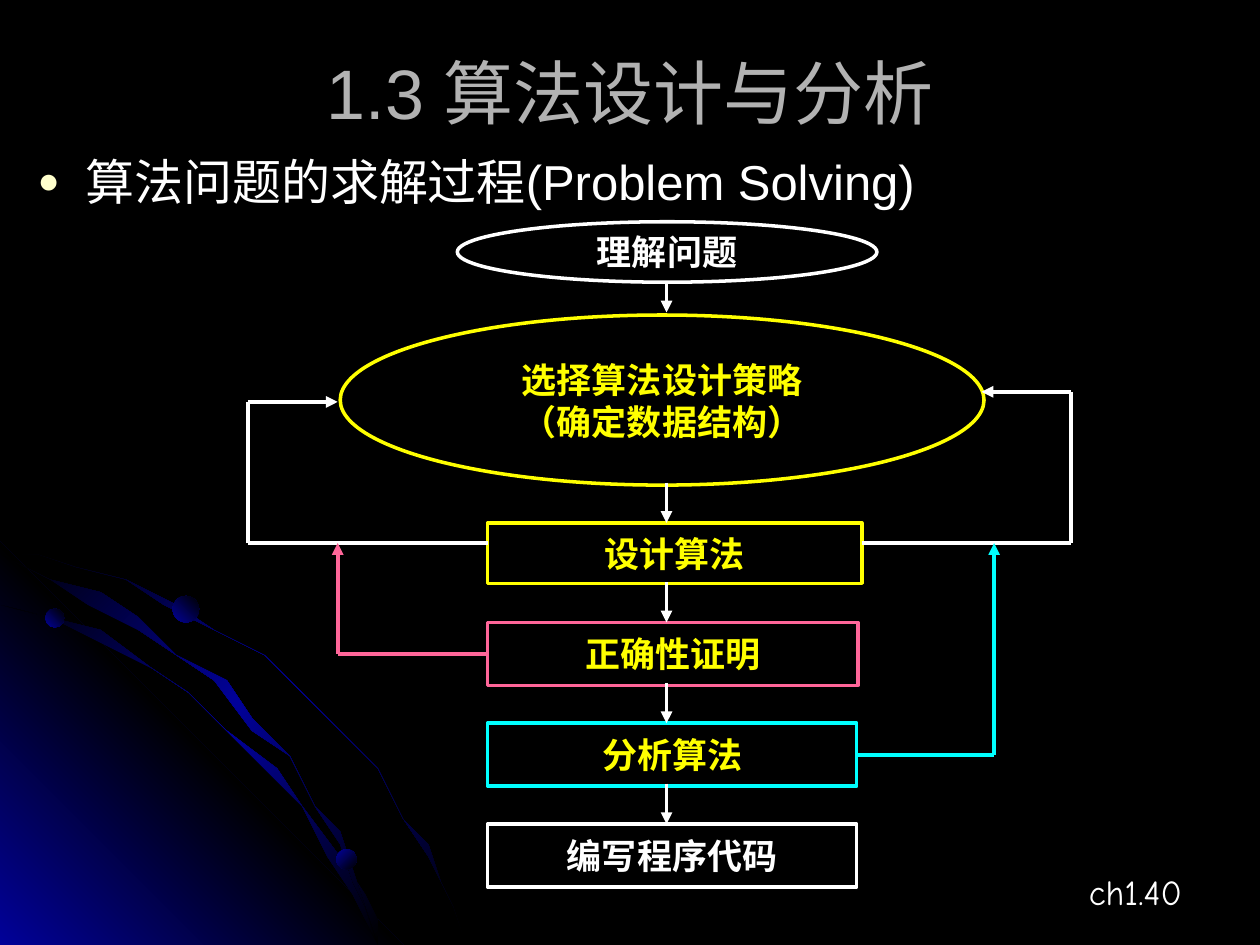
import dataclasses
import typing

import pptx
import pptx.dml.color
import pptx.enum.shapes
import pptx.enum.text
import pptx.oxml
import pptx.oxml.ns
import pptx.util

COLS, ROWS = 100, 75
WHITE, YELLOW, PINK, CYAN = "FFFFFF", "FFFF00", "FF6699", "00FFFF"
BLACK, BLUE = "000000", "010199"
OVAL = pptx.enum.shapes.MSO_SHAPE.OVAL
RECT = pptx.enum.shapes.MSO_SHAPE.RECTANGLE
ALIGN = pptx.enum.text.PP_ALIGN
MIDDLE = pptx.enum.text.MSO_ANCHOR.MIDDLE
LEFT, RIGHT = 1, 3
Point = tuple[float, float]

deck = pptx.Presentation()
deck.slide_width = pptx.util.Inches(10)
deck.slide_height = pptx.util.Inches(7.5)
slide = deck.slides.add_slide(deck.slide_layouts[6])
shapes = slide.shapes
COL, ROW = deck.slide_width / COLS, deck.slide_height / ROWS


@dataclasses.dataclass
class Step:
    """A flow chart box, placed in grid columns and rows."""
    kind: int
    area: tuple[float, float, float, float]
    lines: list[str]
    edge: str
    ink: str = YELLOW


@dataclasses.dataclass
class Link:
    """A straight line; side joins its start to the middle of a step's side."""
    start: Point
    end: Point
    hue: str = WHITE
    arrow: bool = False
    step: typing.Optional[int] = None
    side: int = LEFT


def grid(*vals: float) -> list[int]:
    return [round(v * (ROW if i % 2 else COL)) for i, v in enumerate(vals)]


def color(code: str) -> pptx.dml.color.RGBColor:
    return pptx.dml.color.RGBColor.from_string(code)


def apply(target: typing.Any, **values: typing.Any) -> None:
    for name, value in values.items():
        setattr(target, name, value)


def write(shape: typing.Any, lines: list[str], size: float, ink: str, align: int,
          font: str = "Arial", bold: bool = False, **frame: typing.Any) -> None:
    apply(shape.text_frame, **frame)
    shape.text_frame.text = "\n".join(lines)
    for para in shape.text_frame.paragraphs:
        para.alignment = align
        for run in para.runs:
            apply(run.font, name=font, size=pptx.util.Pt(size), bold=bold)
            run.font.color.rgb = color(ink)


def shade(shape: typing.Any, hues: list[str], angle: int) -> None:
    """Fill with evenly spaced gradient stops, angle clockwise in degrees."""
    shape.shadow.inherit = False
    shape.line.fill.background()
    shape.fill.background()
    stops = "".join(
        f'<a:gs pos="{100000 * i // (len(hues) - 1)}"><a:srgbClr val="{hue}"/></a:gs>'
        for i, hue in enumerate(hues))
    fill = pptx.oxml.parse_xml(
        f'<a:gradFill {pptx.oxml.ns.nsdecls("a")} rotWithShape="1"><a:gsLst>{stops}</a:gsLst>'
        f'<a:lin ang="{angle * 60000}" scaled="1"/></a:gradFill>')
    props = shape.element.spPr
    props.replace(props.find(pptx.oxml.ns.qn("a:noFill")), fill)


def outline(points: list[Point]) -> typing.Any:
    form = shapes.build_freeform(*points[0], scale=(COL, ROW))
    form.add_line_segments(points[1:], close=True)
    return form.convert_to_shape()


def draw_arc(edge: list[Point]) -> None:
    """Draw a thin band along its outer edge."""
    inner = [(max(x - 0.2, 0), min(y + 0.2, ROWS)) for x, y in reversed(edge)]
    shade(outline(edge + inner), [BLACK, BLUE, BLACK], 45)


def draw_step(step: Step) -> typing.Any:
    shape = shapes.add_shape(step.kind, *grid(*step.area))
    shape.shadow.inherit = False
    shape.fill.solid()
    shape.fill.fore_color.rgb = color(BLACK)
    shape.line.color.rgb = color(step.edge)
    shape.line.width = pptx.util.Pt(2)
    write(shape, step.lines, 20, step.ink, ALIGN.CENTER, bold=True,
          word_wrap=False, vertical_anchor=MIDDLE)
    return shape


def draw_link(link: Link, boxes: list[typing.Any]) -> None:
    line = shapes.add_connector(pptx.enum.shapes.MSO_CONNECTOR.STRAIGHT,
                                *grid(*link.start, *link.end))
    if link.step is not None:
        line.begin_connect(boxes[link.step], link.side)
    line.line.color.rgb = color(link.hue)
    line.line.width = pptx.util.Pt(2.25)
    if link.arrow:
        line.line._get_or_add_ln().append(pptx.oxml.parse_xml(
            f'<a:tailEnd {pptx.oxml.ns.nsdecls("a")} type="triangle"/>'))
    line.element.spPr.append(pptx.oxml.parse_xml(
        f'<a:effectLst {pptx.oxml.ns.nsdecls("a")}/>'))


def add_text(area: tuple[float, ...], line: str, size: float, ink: str, align: int,
             **more: typing.Any) -> typing.Any:
    box = shapes.add_textbox(*grid(*area))
    write(box, [line], size, ink, align, word_wrap=True, **more)
    return box


ARCS: list[list[Point]] = [
    [(0, 43.5), (2.8, 44.1), (5.7, 44.7), (9.8, 45.9), (13.6, 47.7), (17.4, 49.7),
     (20.9, 52.1), (24.2, 54.8), (27.2, 57.8), (30, 61.1), (32.5, 64.8),
     (33.9, 67.3), (35.2, 69.8), (36.2, 72.3), (37.2, 75)],
    [(0, 47.5), (4.1, 48.8), (7.9, 50.5), (11.7, 52.6), (15.2, 54.9), (18.4, 57.6),
     (21.5, 60.6), (24.2, 64), (26.6, 67.6), (28.6, 71.2), (29.6, 73), (30.3, 75)],
    [(0, 44.2), (3.9, 45.5), (7.6, 47.3), (11.1, 49.3), (14.4, 51.6), (17.5, 54.3),
     (20.4, 57.3), (22.9, 60.3), (25.4, 63.9), (26.9, 66.5), (28.2, 69.3),
     (29.4, 72), (30.3, 75)],
]
DOTS = [(3.6, 48.3, 1.5, 315), (26.7, 67.4, 1.6, 45), (13.7, 47.3, 2.1, 315)]

MID, BOX = 52.9, 38.7
FAR_L, FAR_R, NEAR_L, NEAR_R = 19.7, 85, 26.8, 78.9
LOOP = 43.1
STEPS = [
    Step(OVAL, (36.3, 17.6, 33.3, 4.8), ["理解问题"], WHITE, WHITE),
    Step(OVAL, (27, 25, 51.1, 13.5), ["选择算法设计策略", "（确定数据结构）"], YELLOW),
    Step(RECT, (BOX, 41.5, 29.7, 4.8), ["设计算法"], YELLOW),
    Step(RECT, (BOX, 49.4, 29.4, 5), ["正确性证明"], PINK),
    Step(RECT, (BOX, 57.4, 29.3, 5), ["分析算法"], CYAN),
    Step(RECT, (BOX, 65.4, 29.3, 5), ["编写程序代码"], WHITE, WHITE),
]
DOWN = [(22.4, 24.8), (38.3, 41.5), (46.2, 49.4), (54.2, 57.4), (62.2, 65.4)]
LINKS = [Link((MID, top), (MID, end), arrow=True) for top, end in DOWN] + [
    Link((BOX, LOOP), (FAR_L, LOOP)),
    Link((FAR_L, LOOP), (FAR_L, 31.9)),
    Link((FAR_L, 31.9), (NEAR_L, 31.9), arrow=True),
    Link((68.4, LOOP), (FAR_R, LOOP)),
    Link((FAR_R, LOOP), (FAR_R, 31.1)),
    Link((FAR_R, 31.1), (77.9, 31.1), arrow=True),
    Link((BOX, 51.9), (NEAR_L, 51.9), PINK, step=3, side=LEFT),
    Link((NEAR_L, 51.9), (NEAR_L, LOOP), PINK, arrow=True),
    Link((68, 59.9), (NEAR_R, 59.9), CYAN, step=4, side=RIGHT),
    Link((NEAR_R, 59.9), (NEAR_R, LOOP), CYAN, arrow=True),
]


def main() -> None:
    slide.background.fill.solid()
    slide.background.fill.fore_color.rgb = color(BLACK)

    draw_arc(ARCS[0])
    shade(outline([(0, 42.7), (32.2, ROWS), (0, ROWS)]), [BLUE, BLACK, BLUE], 315)
    for arc in ARCS[1:]:
        draw_arc(arc)
    for x, y, size, angle in DOTS:
        shade(shapes.add_shape(OVAL, *grid(x, y, size, size)), [BLUE, BLACK], angle)

    add_text((72, 68.6, 22.8, 4.4), "ch1.40", 20, WHITE, ALIGN.RIGHT, font="Comic Neue")
    body = add_text((2, 11.5, 96.1, 53.6), "算法问题的求解过程(Problem Solving)", 28,
                    WHITE, ALIGN.LEFT)
    props = body.text_frame.paragraphs[0]._p.get_or_add_pPr()
    apply_indent = {"marL": pptx.util.Inches(0.38), "indent": pptx.util.Inches(-0.38)}
    for name, value in apply_indent.items():
        props.set(name, str(int(value)))
    for tag in ('buClr><a:srgbClr val="FFFFCC"/></a:buClr', 'buSzPct val="75000"/',
                'buFont typeface="Arial"/', 'buChar char="●"/'):
        head, _, rest = tag.partition(" " if tag.endswith("/") else ">")
        gap = " " if tag.endswith("/") else ">"
        props.append(pptx.oxml.parse_xml(
            f'<a:{head} {pptx.oxml.ns.nsdecls("a")}{gap}{rest}>'))

    boxes = [draw_step(step) for step in STEPS]
    for link in LINKS:
        draw_link(link, boxes)
    add_text((5, 3, 90, 8.5), "1.3 算法设计与分析", 40, "B2B2B2", ALIGN.CENTER,
             vertical_anchor=MIDDLE)
    deck.save("out.pptx")


if __name__ == "__main__":
    main()
